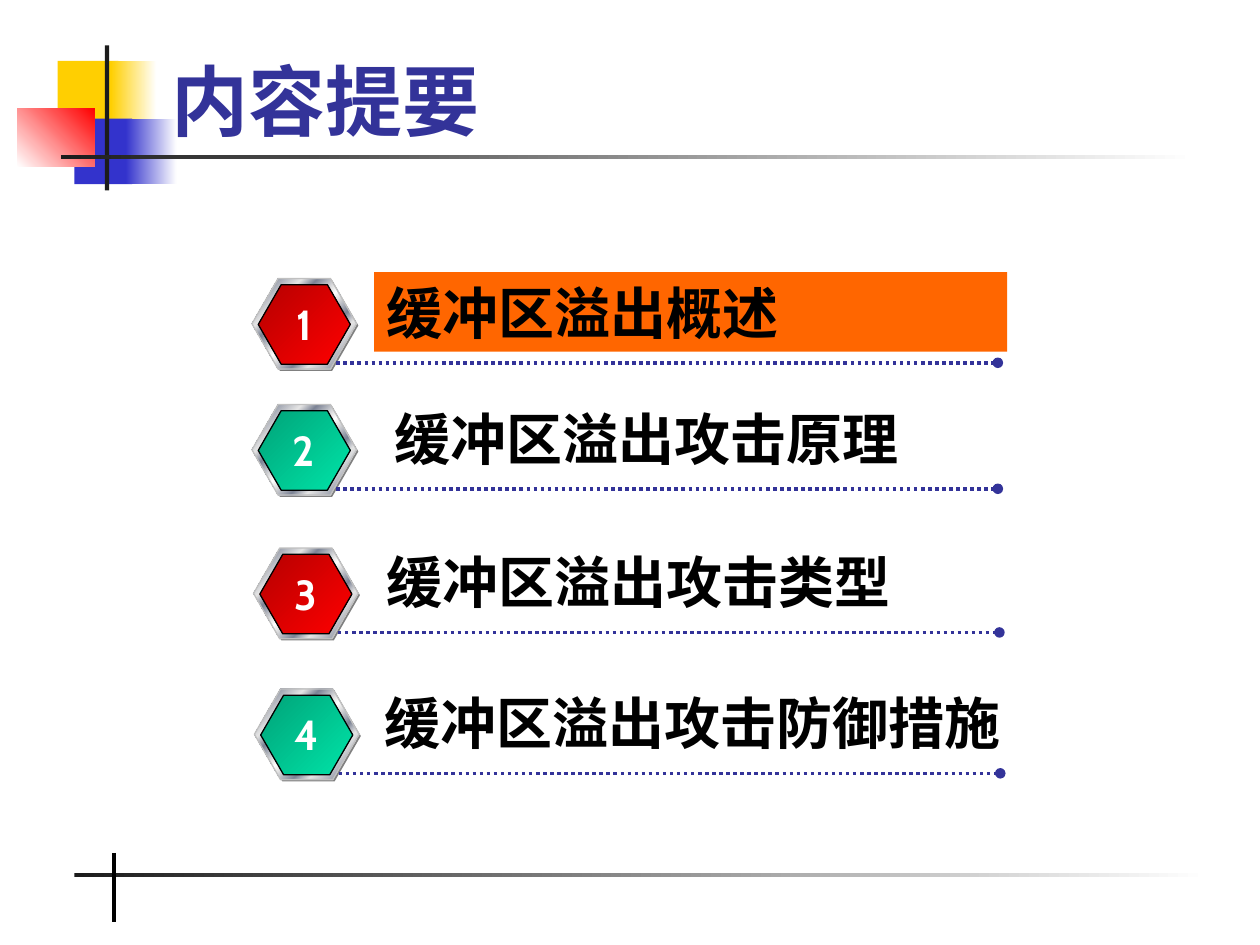
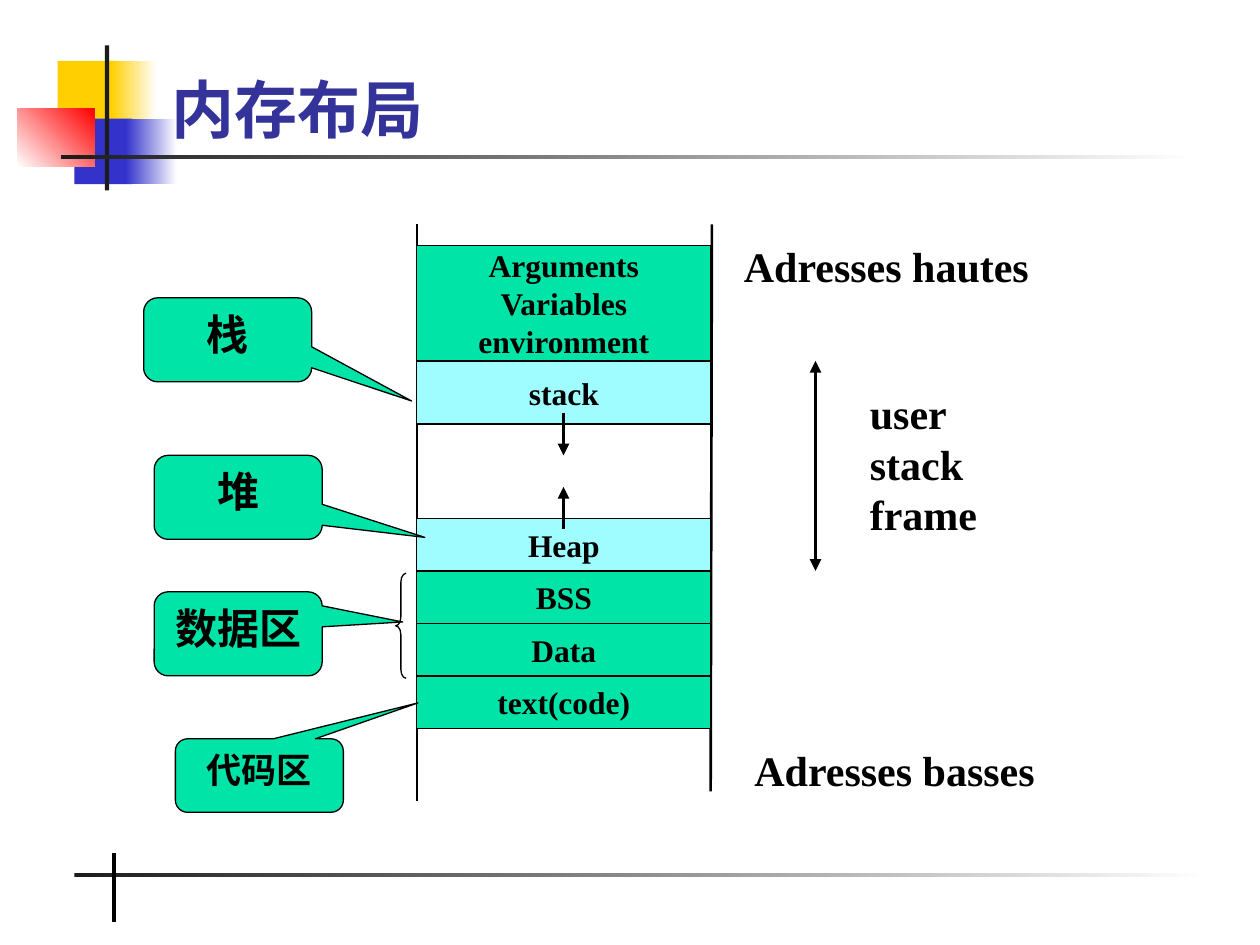
from dataclasses import dataclass
from typing import Optional, Union

from lxml import etree
from pptx import Presentation
from pptx.dml.color import RGBColor
from pptx.enum.dml import MSO_LINE
from pptx.enum.shapes import MSO_CONNECTOR, MSO_SHAPE
from pptx.enum.text import MSO_ANCHOR, PP_ALIGN
from pptx.oxml.ns import qn
from pptx.util import Pt

RECTANGLE = MSO_SHAPE.RECTANGLE
HEXAGON = MSO_SHAPE.HEXAGON
CALLOUT = MSO_SHAPE.ROUNDED_RECTANGULAR_CALLOUT
BRACE = MSO_SHAPE.LEFT_BRACE
STRAIGHT = MSO_CONNECTOR.STRAIGHT
DOTTED = MSO_LINE.ROUND_DOT
LEFT, CENTER = PP_ALIGN.LEFT, PP_ALIGN.CENTER
TOP, MIDDLE, BOTTOM = MSO_ANCHOR.TOP, MSO_ANCHOR.MIDDLE, MSO_ANCHOR.BOTTOM

SERIF, CHINESE, NUMERAL = "Times New Roman", "Noto Sans CJK SC", "Cabin"
BLACK, WHITE, CHARCOAL = "000000", "FFFFFF", "1C1C1C"
NAVY, BLUE, YELLOW, RED = "333399", "3333CC", "FFCF01", "FF0000"
ORANGE, GREEN, CYAN, SILVER, GRAY = "FF6600", "00E4A8", "9FFDFF", "C0C0C0", "808080"


@dataclass(frozen=True)
class Gradient:
    stops: tuple  # (percent, colour) pairs
    angle: int = 0  # clockwise degrees


@dataclass(frozen=True)
class Block:
    left: float
    top: float
    width: float
    height: float
    fill: Union[str, Gradient]


@dataclass(frozen=True)
class AgendaItem:
    text: str
    badge_left: float
    badge_top: float
    text_left: float
    text_width: float
    badge_fill: Gradient
    highlight: Optional[str] = None


@dataclass(frozen=True)
class Segment:
    text: str
    height: float
    fill: Optional[str] = None  # None leaves free space


@dataclass(frozen=True)
class Label:
    text: str
    left: float
    top: float
    width: float
    height: float


@dataclass(frozen=True)
class Callout:
    text: str
    left: float
    top: float
    height: float
    size: float
    tip: tuple  # tip offset from the centre, as shares of width and height


def fade(start: str, end: str, angle: int = 0) -> Gradient:
    return Gradient(((0, start), (100, end)), angle)


METAL = Gradient(
    ((0, "E6E6E6"), (8, "7D8496"), (26, "E6E6E6"), (34, "7D8496"),
     (46, "E6E6E6"), (50, WHITE), (54, "E6E6E6"), (66, "7D8496"),
     (74, "E6E6E6"), (93, "7D8496"), (100, "E6E6E6")), 45)
RED_BADGE = fade("B60000", RED, 45)
GREEN_BADGE = fade("00A378", GREEN, 45)
HEXAGON_SHAPE = (0.289, 1.155)

# Decoration of every slide
DECORATION = (
    Block(33, 34.8, 34.6, 37.4, YELLOW),
    Block(63.4, 34.8, 26, 37.4, fade(YELLOW, WHITE)),
    Block(42.5, 67.8, 33, 37.4, BLUE),
    Block(72, 67.8, 29, 37.4, fade(BLUE, WHITE)),
    Block(9.8, 61.8, 44.2, 33.3, fade(WHITE, RED, 315)),
    Block(59.9, 26, 2.5, 82.8, CHARCOAL),
    Block(34.8, 88.4, 648, 2.3, fade(CHARCOAL, WHITE)),
    Block(42.5, 498.8, 648, 2.3, fade(CHARCOAL, WHITE)),
)

AGENDA = (
    AgendaItem("缓冲区溢出概述", 144, 159.1, 213.8, 361.7, RED_BADGE, ORANGE),
    AgendaItem("缓冲区溢出攻击原理", 144, 231.1, 218.3, 351.4, GREEN_BADGE),
    AgendaItem("缓冲区溢出攻击类型", 144.9, 313.2, 213.8, 425.5, RED_BADGE),
    AgendaItem("缓冲区溢出攻击防御措施", 145.4, 393.7, 212.6, 407.5, GREEN_BADGE),
)

MEMORY_LEFT, MEMORY_TOP, MEMORY_WIDTH = 238.2, 140.3, 168
MEMORY = (
    Segment("Arguments\nVariables\nenvironment", 66, GREEN),
    Segment("stack", 36, CYAN),
    Segment("", 54),
    Segment("Heap", 30, CYAN),
    Segment("BSS", 30, GREEN),
    Segment("Data", 30, GREEN),
    Segment("text(code)", 30, GREEN),
)
LABELS = (
    Label("Adresses hautes", 418, 134, 222, 36),
    Label("Adresses basses", 424, 422, 222, 36),
    Label("user\nstack\nframe", 490, 218, 90, 94),
)
CALLOUTS = (
    Callout("代码区", 100.2, 422.2, 42, 20, (0.944, -0.988)),
    Callout("数据区", 88.1, 338.2, 48, 24, (0.979, -0.141)),
    Callout("栈", 82.1, 170.2, 48, 24, (1.095, 0.729)),
    Callout("堆", 88.1, 260.2, 48, 24, (1.111, 0.477)),
)


def rgb(color: str) -> RGBColor:
    return RGBColor.from_string(color)


def paint(shape, fill: Union[str, Gradient, None]) -> None:
    """Apply a solid colour, a gradient or no fill."""
    if fill is None:
        shape.fill.background()
    elif isinstance(fill, str):
        shape.fill.solid()
        shape.fill.fore_color.rgb = rgb(fill)
    else:
        shape.fill.gradient()
        shape.fill.gradient_angle = -fill.angle % 360
        stop_list = shape._element.spPr.find(".//" + qn("a:gsLst"))
        for stop in list(stop_list):
            stop_list.remove(stop)
        for percent, color in fill.stops:
            stop = etree.SubElement(stop_list, qn("a:gs"), pos=str(percent * 1000))
            etree.SubElement(stop, qn("a:srgbClr"), val=color)


def add_figure(page, kind, left: float, top: float, width: float, height: float,
               fill: Union[str, Gradient, None], outline: Optional[str] = None,
               adjustments: tuple = ()):
    shape = page.shapes.add_shape(kind, Pt(left), Pt(top), Pt(width), Pt(height))
    shape.shadow.inherit = False
    for index, value in enumerate(adjustments):
        shape.adjustments[index] = value
    paint(shape, fill)
    if outline:
        shape.line.color.rgb = rgb(outline)
        shape.line.width = Pt(0.75)
    else:
        shape.line.fill.background()
    return shape


def write(shape, text: str, size: float, color: str = BLACK, font: str = SERIF,
          align=LEFT, anchor=TOP, wrap: bool = True, inset: bool = True) -> None:
    frame = shape.text_frame
    frame.text = text
    frame.word_wrap = wrap
    frame.vertical_anchor = anchor
    if not inset:
        frame.margin_left = frame.margin_right = Pt(0)
        frame.margin_top = frame.margin_bottom = Pt(0)
    for para in frame.paragraphs:
        para.alignment = align
        for span in para.runs:
            span.font.size = Pt(size)
            span.font.bold = True
            span.font.color.rgb = rgb(color)
            span.font.name = font
            etree.SubElement(span.font._element, qn("a:ea"), typeface=CHINESE)


def add_box(page, left: float, top: float, width: float, height: float):
    return page.shapes.add_textbox(Pt(left), Pt(top), Pt(width), Pt(height))


def add_line(page, start: tuple, end: tuple, width: float, color: str = BLACK,
             head: Optional[str] = None, tail: Optional[str] = None, dash=None) -> None:
    line = page.shapes.add_connector(STRAIGHT, *map(Pt, start + end))
    line.line.color.rgb = rgb(color)
    line.line.width = Pt(width)
    if dash:
        line.line.dash_style = dash
    properties = line._element.spPr
    for tag, marker in (("a:headEnd", head), ("a:tailEnd", tail)):
        if marker:
            etree.SubElement(properties.find(qn("a:ln")), qn(tag), type=marker)
    etree.SubElement(properties, qn("a:effectLst"))


def add_page(deck, title: str, title_size: float):
    """Add a slide with the shared decoration and title."""
    page = deck.slides.add_slide(deck.slide_layouts[6])
    for block in DECORATION:
        add_figure(page, RECTANGLE, block.left, block.top, block.width,
                   block.height, block.fill)
    add_line(page, (65, 487.4), (65, 527), 2.25)
    write(add_box(page, 90.7, 11.5, 613.4, 75.6), title, title_size, NAVY, anchor=BOTTOM)
    return page


def add_agenda_item(page, number: int, item: AgendaItem) -> None:
    left, top = item.badge_left, item.badge_top
    # Badge: shadow, metal rim, coloured face
    for shift, width, height, fill, outline in (
            (1, 59.8, 51.8, GRAY, None),
            (0, 59.8, 51.8, METAL, SILVER),
            (3.6, 52.6, 45.4, item.badge_fill, BLACK)):
        add_figure(page, HEXAGON, left + shift, top + shift, width, height,
                   fill, outline, HEXAGON_SHAPE)
    add_line(page, (left + 48.2, top + 48.2), (left + 426.2, top + 48.2), 2, NAVY,
             tail="oval", dash=DOTTED)
    box = add_box(page, item.text_left, top - 3.6, item.text_width, 45.4)
    paint(box, item.highlight)
    write(box, item.text, 32, font=CHINESE)
    write(add_box(page, left + 15.8, top + 7.9, 28, 36), str(number), 24, WHITE,
          NUMERAL, CENTER, wrap=False)


def build_agenda(deck) -> None:
    page = add_page(deck, "内容提要", 44)
    for number, item in enumerate(AGENDA, 1):
        add_agenda_item(page, number, item)


def build_memory_layout(deck) -> None:
    page = add_page(deck, "内存布局", 36)
    # Memory column
    add_line(page, (238.2, 128.2), (238.2, 458), 1.5)
    add_line(page, (406.8, 128.2), (406.1, 452.2), 1.5)
    top = MEMORY_TOP
    for segment in MEMORY:
        if segment.fill:
            cell = add_figure(page, RECTANGLE, MEMORY_LEFT, top, MEMORY_WIDTH,
                              segment.height, segment.fill, BLACK)
            write(cell, segment.text, 18, align=CENTER, anchor=MIDDLE,
                  wrap=False, inset=False)
        top += segment.height
    # Address labels and growth arrows
    for label in LABELS:
        box = add_box(page, label.left, label.top, label.width, label.height)
        write(box, label.text, 24)
    add_line(page, (466, 206.2), (466, 326.2), 2.25, head="triangle", tail="triangle")
    add_line(page, (322, 236.2), (322, 260.2), 2.25, tail="triangle")
    add_line(page, (322, 302.2), (322, 278.2), 2.25, tail="triangle")
    # Region names
    add_figure(page, BRACE, 226.1, 327.6, 6, 60, None, BLACK, (0.833, 0.5))
    for callout in CALLOUTS:
        shape = add_figure(page, CALLOUT, callout.left, callout.top, 96, callout.height,
                           GREEN, BLACK, callout.tip + (0.167,))
        write(shape, callout.text, callout.size, align=CENTER)


def main() -> None:
    deck = Presentation()
    deck.slide_width, deck.slide_height = Pt(720), Pt(540)
    build_agenda(deck)
    build_memory_layout(deck)
    deck.save("out.pptx")


if __name__ == "__main__":
    main()
